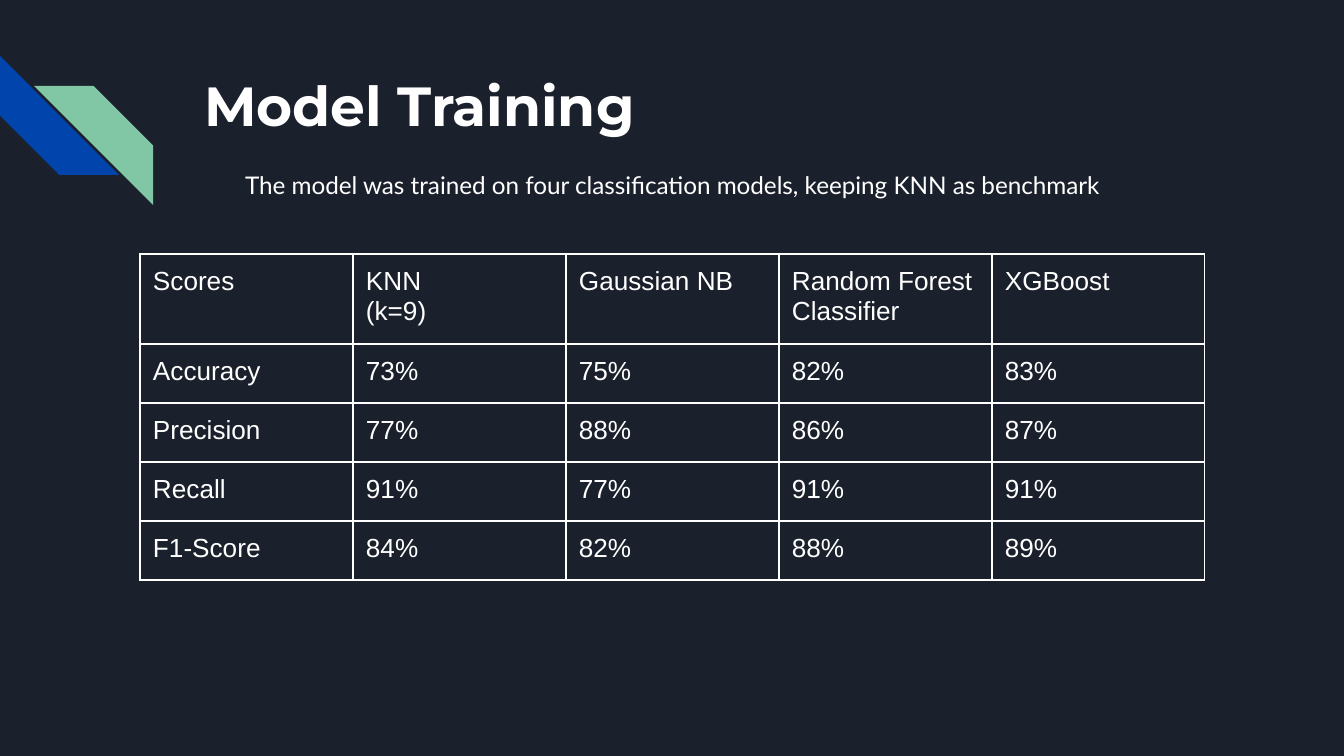
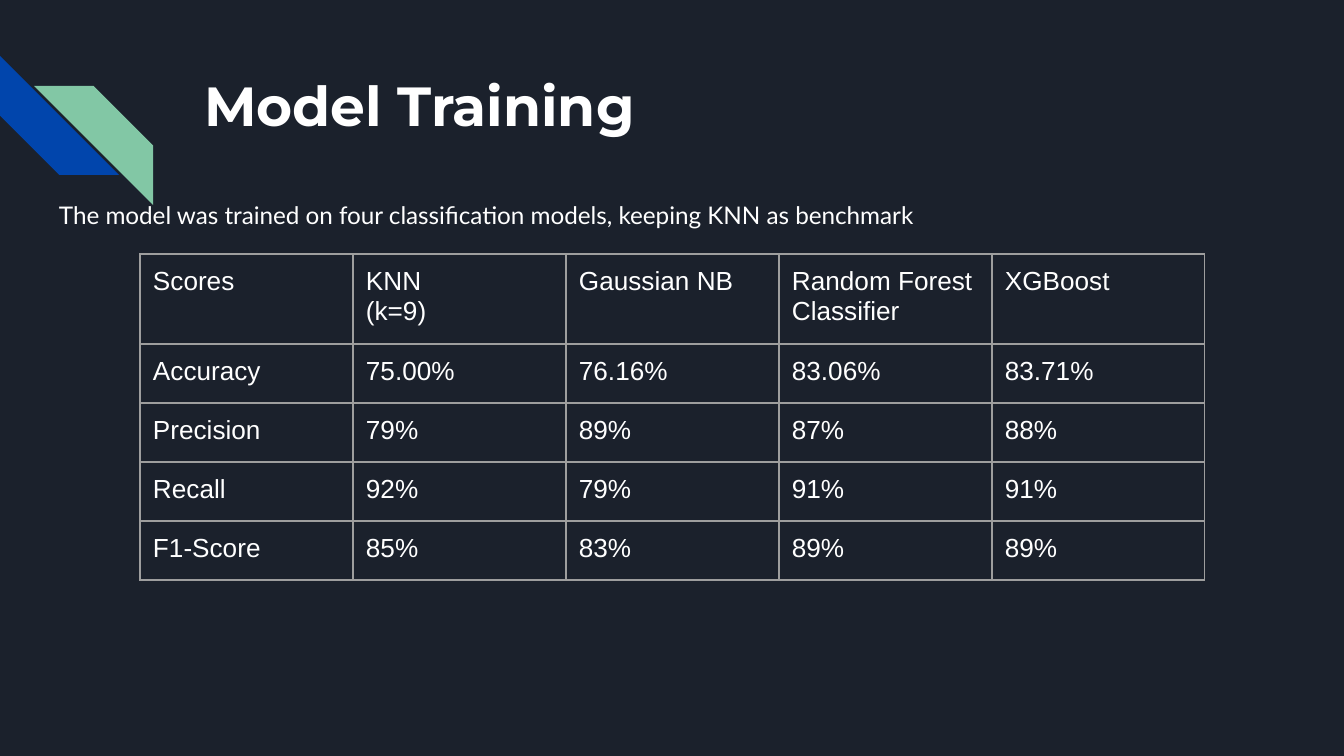
import pptx
import pptx.dml.color
import pptx.enum.shapes
import pptx.enum.text
import pptx.oxml
import pptx.oxml.ns
import pptx.util

SLIDE_WIDTH, SLIDE_HEIGHT = 1344, 756
EMU_PER_PX = 9144000 / SLIDE_WIDTH
NAVY, BLUE, GREEN = "1B212C", "0145AC", "82C7A5"
WHITE, GREY = "FFFFFF", "9E9E9E"
INSET = 13
STRIPE_SIZE = 119
COLUMN_WIDTH, HEADER_HEIGHT, ROW_HEIGHT = 213, 90, 59
TITLE = "Model Training"
INTRODUCTION = "The model was trained on four classification models, keeping KNN as benchmark"
MODELS = ["Scores", "KNN\n(k=9)", "Gaussian NB", "Random Forest Classifier", "XGBoost"]
FIRST_SCORES = [
    ["Accuracy", "73%", "75%", "82%", "83%"],
    ["Precision", "77%", "88%", "86%", "87%"],
    ["Recall", "91%", "77%", "91%", "91%"],
    ["F1-Score", "84%", "82%", "88%", "89%"],
]
SECOND_SCORES = [
    ["Accuracy", "75.00%", "76.16%", "83.06%", "83.71%"],
    ["Precision", "79%", "89%", "87%", "88%"],
    ["Recall", "92%", "79%", "91%", "91%"],
    ["F1-Score", "85%", "83%", "89%", "89%"],
]
LEFT, CENTER = pptx.enum.text.PP_ALIGN.LEFT, pptx.enum.text.PP_ALIGN.CENTER


def px(length):
    """Turn pixels into EMU."""
    return pptx.util.Emu(round(length * EMU_PER_PX))


def color(value):
    """Turn a hex string into a colour."""
    return pptx.dml.color.RGBColor.from_string(value)


def add_run(paragraph, text, font_name, size, bold=False):
    """Add one white run to a paragraph."""
    run = paragraph.add_run()
    run.text = text
    run.font.name = font_name
    run.font.size = pptx.util.Pt(size)
    run.font.bold = bold
    run.font.color.rgb = color(WHITE)


def set_insets(target):
    """Give a text frame or table cell equal margins on all sides."""
    for side in ("left", "top", "right", "bottom"):
        setattr(target, f"margin_{side}", px(INSET))


def prepare_frame(shape, alignment):
    """Make a shape's text wrap from the top and return its first paragraph."""
    frame = shape.text_frame
    frame.word_wrap = True
    frame.auto_size = pptx.enum.text.MSO_AUTO_SIZE.NONE
    frame.vertical_anchor = pptx.enum.text.MSO_ANCHOR.TOP
    set_insets(frame)
    paragraph = frame.paragraphs[0]
    paragraph.alignment = alignment
    return paragraph


def add_stripe(slide, left, top, rotation, fill):
    """Add one diagonal stripe of the corner mark."""
    stripe = slide.shapes.add_shape(
        pptx.enum.shapes.MSO_SHAPE.DIAGONAL_STRIPE,
        px(left), px(top), px(STRIPE_SIZE), px(STRIPE_SIZE))
    stripe.rotation = rotation
    stripe.shadow.inherit = False
    stripe.fill.solid()
    stripe.fill.fore_color.rgb = color(fill)
    stripe.line.fill.background()


def set_title(slide, text):
    """Place and fill the title placeholder."""
    title = slide.shapes.title
    title.left, title.top, title.width, title.height = map(px, (191, 58, 1035, 134))
    add_run(prepare_frame(title, LEFT), text, "Montserrat", 29.5, bold=True)


def add_introduction(slide, top, alignment):
    """Add the sentence above the table."""
    box = slide.shapes.add_textbox(px(46), px(top), px(1252), px(503))
    paragraph = prepare_frame(box, alignment)
    paragraph.line_spacing = 1.15
    paragraph.space_after = pptx.util.Pt(12)
    add_run(paragraph, INTRODUCTION, "Lato", 13)


def set_borders(cell, line_color):
    """Draw a thin line on each side of a cell."""
    properties = cell._tc.get_or_add_tcPr()
    for index, tag in enumerate(("lnL", "lnR", "lnT", "lnB")):
        properties.insert(index, pptx.oxml.parse_xml(
            f'<a:{tag} {pptx.oxml.ns.nsdecls("a")} w="9525"><a:solidFill>'
            f'<a:srgbClr val="{line_color}"/></a:solidFill></a:{tag}>'))


def fill_cell(cell, text, line_color):
    """Write a cell, one paragraph for each line, and border it."""
    set_insets(cell)
    cell.fill.background()
    set_borders(cell, line_color)
    frame = cell.text_frame
    for index, line in enumerate(text.split("\n")):
        paragraph = frame.add_paragraph() if index else frame.paragraphs[0]
        add_run(paragraph, line, "Arial", 14)


def add_score_table(slide, scores, line_color):
    """Add the table of scores by model."""
    rows = [MODELS] + scores
    height = HEADER_HEIGHT + ROW_HEIGHT * len(scores)
    table = slide.shapes.add_table(
        len(rows), len(MODELS), px(140), px(254),
        px(COLUMN_WIDTH * len(MODELS)), px(height)).table
    table.first_row = False
    table.horz_banding = False
    for column in table.columns:
        column.width = px(COLUMN_WIDTH)
    for row_index, texts in enumerate(rows):
        table.rows[row_index].height = px(ROW_HEIGHT if row_index else HEADER_HEIGHT)
        for column_index, text in enumerate(texts):
            fill_cell(table.cell(row_index, column_index), text, line_color)


def add_training_slide(presentation, introduction_top, alignment, scores, line_color):
    """Add one slide of model scores."""
    slide = presentation.slides.add_slide(presentation.slide_layouts[5])
    add_stripe(slide, 0, 56, 270, BLUE)
    add_stripe(slide, 34, 86, 90, GREEN)
    set_title(slide, TITLE)
    add_introduction(slide, introduction_top, alignment)
    add_score_table(slide, scores, line_color)


def main():
    """Build and save the presentation."""
    presentation = pptx.Presentation()
    presentation.slide_width, presentation.slide_height = px(SLIDE_WIDTH), px(SLIDE_HEIGHT)
    background = presentation.slide_master.background.fill
    background.solid()
    background.fore_color.rgb = color(NAVY)
    add_training_slide(presentation, 153, CENTER, FIRST_SCORES, WHITE)
    add_training_slide(presentation, 183, LEFT, SECOND_SCORES, GREY)
    presentation.save("out.pptx")


if __name__ == "__main__":
    main()
